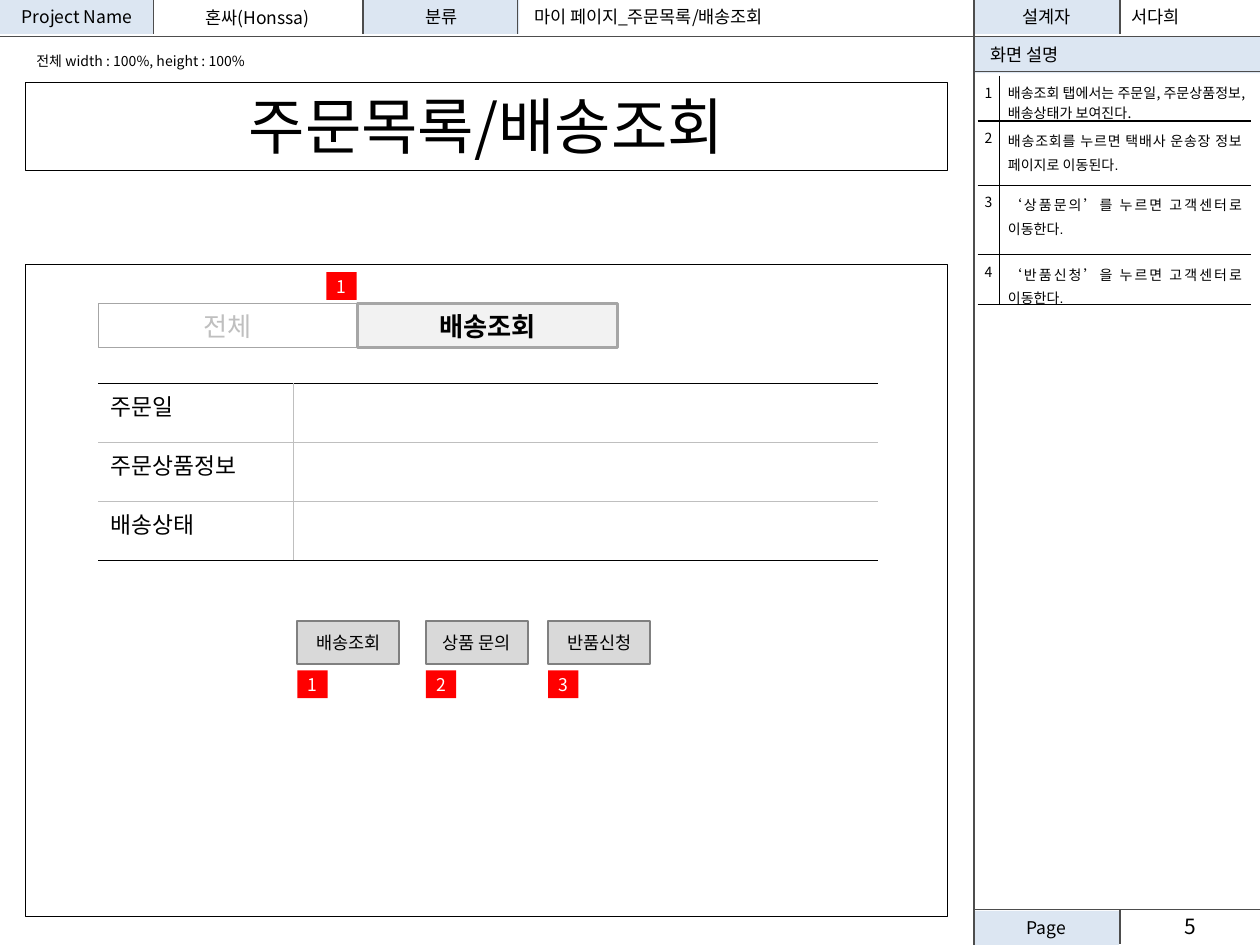
"""Builds the order list and delivery tracking wireframe slide."""
from lxml.etree import SubElement
from pptx import Presentation
from pptx.dml.color import RGBColor
from pptx.enum.shapes import MSO_CONNECTOR, MSO_SHAPE as SHAPE
from pptx.enum.text import MSO_ANCHOR as ANCHOR, PP_ALIGN as AL
from pptx.oxml.ns import qn
from pptx.util import Inches, Pt

FONT = "Noto Sans CJK KR"
BLACK = RGBColor(0x00, 0x00, 0x00)
WHITE = RGBColor(0xFF, 0xFF, 0xFF)
PALE_BLUE = RGBColor(0xDC, 0xE6, 0xF2)
RED = RGBColor(0xFF, 0x00, 0x00)
RULE = RGBColor(0x4D, 0x4D, 0x4D)
EDGE = RGBColor(0x80, 0x80, 0x80)
TAB_EDGE = RGBColor(0xA6, 0xA6, 0xA6)
SILVER = RGBColor(0xBF, 0xBF, 0xBF)
BUTTON = RGBColor(0xD9, 0xD9, 0xD9)
TAB = RGBColor(0xF2, 0xF2, 0xF2)

SIDE_X, SPLIT_X, RIGHT = 7.73, 8.89, 10
LABELS = [
    ("Page", SIDE_X, 7.23, 1.15, 0.27),
    ("설계자", SIDE_X, 0, 1.15, 0.27),
    ("분류", 2.89, 0, 1.23, 0.27),
    ("Project Name", 0, 0, 1.22, 0.27),
]
RULES = [(0, 0.29, RIGHT, 0.29), (SIDE_X, 0.57, RIGHT, 0.57), (SIDE_X, 7.22, RIGHT, 7.22),
         (SIDE_X, 0, SIDE_X, 7.5), (SPLIT_X, 7.22, SPLIT_X, 7.49)]
RULES += [(x, 0, x, 0.27) for x in (1.22, 2.88, 4.11, SPLIT_X)]
TEXTS = [
    ("혼싸(Honssa)", (1.22, 0.01, 1.65, 0.25), 10, AL.CENTER, ANCHOR.MIDDLE),
    ("서다희", (8.88, 0, 1.02, 0.27), 10, AL.LEFT, ANCHOR.MIDDLE),
    ("마이 페이지_주문목록/배송조회", (4.14, 0, 2.99, 0.27), 10, AL.LEFT, ANCHOR.MIDDLE),
    ("주문목록/배송조회", (0.2, 0.65, 7.32, 0.69), 35, AL.CENTER, ANCHOR.MIDDLE),
    ("5", (8.89, 7.2, 1.12, 0.3), 12, AL.CENTER, ANCHOR.MIDDLE),
    ("전체 width : 100%, height : 100%", (0.19, 0.37, 2.35, 0.37), 8, AL.LEFT, ANCHOR.TOP),
]
FRAMES = [(0.2, 0.65, 7.32, 0.7), (0.2, 2.1, 7.32, 5.17)]
NOTES = [
    "배송조회 탭에서는 주문일, 주문상품정보,배송상태가 보여진다.",
    "배송조회를 누르면 택배사 운송장 정보 페이지로 이동된다.",
    "‘상품문의’를 누르면 고객센터로 이동한다.",
    "‘반품신청’을 누르면 고객센터로 이동한다.",
]
FIELDS = ["주문일", "주문상품정보", "배송상태"]
TABS = [("전체", None, 0.25, SILVER, False), ("배송조회", TAB, 1.5, BLACK, True)]
BUTTONS = [("배송조회", 2.36), ("상품 문의", 3.38), ("반품신청", 4.35)]


def write(tf, text, size, align=AL.LEFT, color=BLACK, bold=False, latin=FONT, spacing=None):
    p = tf.paragraphs[0]
    p.alignment = align
    if spacing:
        p.line_spacing = spacing
    r = p.add_run()
    r.text = text
    for name, value in {"name": latin, "size": Pt(size), "bold": bold}.items():
        setattr(r.font, name, value)
    r.font.color.rgb = color
    SubElement(r.font._element, qn("a:ea"), typeface=FONT)


def add_box(s, box, text="", fill=None, line=None, width=0.25, size=10, align=AL.CENTER,
            color=BLACK, bold=False, inset=0.1, kind=SHAPE.RECTANGLE):
    sp = s.shapes.add_shape(kind, *map(Inches, box))
    sp.shadow.inherit = False
    if fill is None:
        sp.fill.background()
    else:
        sp.fill.solid()
        sp.fill.fore_color.rgb = fill
    if line is None:
        sp.line.fill.background()
    else:
        sp.line.color.rgb = line
        sp.line.width = Pt(width)
    if text:
        tf = sp.text_frame
        for name, value in {"word_wrap": True, "vertical_anchor": ANCHOR.MIDDLE,
                            "margin_left": Inches(inset), "margin_right": Inches(inset),
                            "margin_top": 0, "margin_bottom": 0}.items():
            setattr(tf, name, value)
        write(tf, text, size, align, color, bold)


def add_text(s, text, box, size, align, anchor):
    tf = s.shapes.add_textbox(*map(Inches, box)).text_frame
    tf.word_wrap = True
    tf.vertical_anchor = anchor
    write(tf, text, size, align)


def add_rule(s, x1, y1, x2, y2):
    c = s.shapes.add_connector(MSO_CONNECTOR.STRAIGHT, *map(Inches, (x1, y1, x2, y2)))
    c.line.color.rgb = RULE
    c.line.width = Pt(0.75)
    SubElement(c._element.spPr, qn("a:effectLst"))


def set_borders(cell, width, colors):
    tc_pr = cell._tc.get_or_add_tcPr()
    for side in "LRTB":
        ln = SubElement(tc_pr, qn(f"a:ln{side}"), w=str(Pt(width)))
        if side in colors:
            fill = SubElement(ln, qn("a:solidFill"))
            SubElement(fill, qn("a:srgbClr"), val=str(colors[side]))
        else:
            SubElement(ln, qn("a:noFill"))
    cell.fill.background()


def add_grid(s, x, y, cols, rows):
    frame = s.shapes.add_table(len(rows), len(cols),
                               *map(Inches, (x, y, sum(cols), sum(rows))))
    table = frame.table
    table.first_row = table.horz_banding = False
    for col, width in zip(table.columns, cols):
        col.width = Inches(width)
    for row, height in zip(table.rows, rows):
        row.height = Inches(height)
    return table


def add_notes(s):
    table = add_grid(s, 7.76, 0.6, [0.17, 2], [0.36, 0.51, 0.55, 0.4])
    for i, note in enumerate(NOTES):
        number, body = table.cell(i, 0), table.cell(i, 1)
        for cell, inset, side in ((number, 0.04, "R"), (body, 0.07, "L")):
            cell.margin_left = cell.margin_right = Inches(inset)
            cell.margin_bottom = 0
            colors = {side: BLACK, "B": BLACK}
            if i:
                colors["T"] = BLACK
            set_borders(cell, 0.75, colors)
        write(number.text_frame, str(i + 1), 8, AL.CENTER)
        style = {"align": AL.JUSTIFY, "latin": "Arial", "spacing": 1.15} if i else {}
        write(body.text_frame, note, 8, **style)


def add_fields(s):
    table = add_grid(s, 0.78, 3.04, [1.55, 4.64], [0.47] * len(FIELDS))
    last = len(FIELDS) - 1
    for i, field in enumerate(FIELDS):
        for j, side in enumerate("RL"):
            set_borders(table.cell(i, j), 0.25, {
                side: SILVER, "T": SILVER if i else BLACK,
                "B": BLACK if i == last else SILVER})
        write(table.cell(i, 0).text_frame, field, 13)


def add_badge(s, number, x, y):
    add_box(s, (x, y, 0.24, 0.22), str(number), RED, color=WHITE, inset=0)


def main():
    prs = Presentation()
    prs.slide_width, prs.slide_height = Inches(10), Inches(7.5)
    s = prs.slides.add_slide(prs.slide_layouts[6])
    for text, *box in LABELS:
        add_box(s, box, text, PALE_BLUE)
    add_box(s, (SIDE_X, 0.29, 2.27, 0.29), "화면 설명", PALE_BLUE, align=AL.LEFT, inset=0.13)
    for rule in RULES:
        add_rule(s, *rule)
    for frame in FRAMES:
        add_box(s, frame, line=BLACK, kind=SHAPE.FLOWCHART_PROCESS)
    for item in TEXTS:
        add_text(s, *item)
    add_notes(s)
    for i, (text, fill, width, color, bold) in enumerate(TABS):
        add_box(s, (0.78 + 2.06 * i, 2.41, 2.06, 0.35), text, fill, TAB_EDGE, width,
                15, color=color, bold=bold)
    add_fields(s)
    add_badge(s, 1, 2.59, 2.16)
    for i, (text, x) in enumerate(BUTTONS, 1):
        add_box(s, (x, 4.93, 0.81, 0.34), text, BUTTON, EDGE, 1)
        add_badge(s, i, x, 5.32)
    prs.save("out.pptx")


if __name__ == "__main__":
    main()
